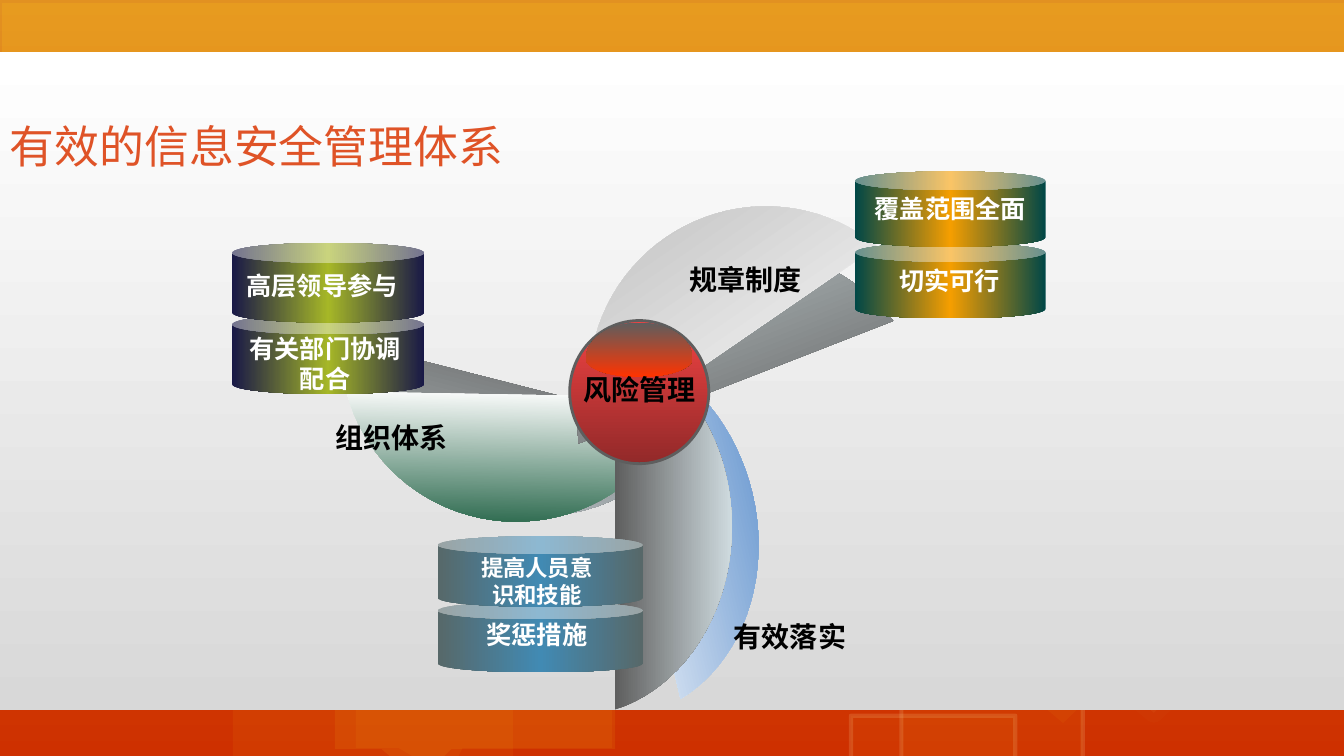
from copy import deepcopy
from dataclasses import dataclass
from math import asin, cos, pi, sin

from lxml.etree import SubElement
from pptx import Presentation
from pptx.dml.color import RGBColor
from pptx.enum.shapes import MSO_SHAPE
from pptx.enum.text import MSO_ANCHOR, PP_ALIGN
from pptx.oxml.ns import qn
from pptx.util import Inches, Pt

COLORS = {
    "band_top": "E29121", "band_bottom": "CE3000", "amber": "FDC51B",
    "cream": "FEEAAC", "yellow": "FFE181", "white": "FFFFFF",
    "panel": "D8D8D8", "title": "DF5327", "black": "000000",
    "gray": "5E5E5E", "mist": "CFDBDF", "silver": "B2B2B2",
    "green": "2A684C", "blue": "447EC4", "red": "F14343",
    "dark_red": "922929", "scarlet": "FF3300", "teal": "004747",
    "orange": "F59E00", "navy": "181847", "lime": "A6B727",
    "slate": "576869", "sky": "418AB3",
}
LEFT, CENTER, RIGHT = PP_ALIGN.LEFT, PP_ALIGN.CENTER, PP_ALIGN.RIGHT
Box = tuple[float, float, float, float]


@dataclass
class Callout:
    box: Box
    alpha: int
    tip: tuple[float, float] = (-0.2, 0.65)
    color: str = "amber"
    line: str = ""
    line_alpha: int = 14
    line_width: float = 3


@dataclass
class Blade:
    box: Box
    rotation: float
    start: str
    end: str


@dataclass
class Label:
    text: str
    box: Box
    size: int = 18
    color: str = "white"
    align: PP_ALIGN = CENTER
    bold: bool = True
    font: str = "Arial"
    anchor: MSO_ANCHOR = MSO_ANCHOR.TOP


@dataclass
class CanStack:
    left: float
    top: float
    width: float
    height: float
    step: float
    edge: str
    middle: str
    labels: list[Label]


def rgb(name: str) -> RGBColor:
    return RGBColor.from_string(COLORS[name])


def set_gradient(fill, names: list[str], angle: int) -> None:
    """Spread the named colours evenly; angle is clockwise."""
    fill.gradient()
    fill.gradient_angle = -angle % 360
    for i, stop in enumerate(fill.gradient_stops):
        stop.color.rgb = rgb(names[i])
        stop.position = i / (len(names) - 1)


def set_can_gradient(shape, edge: str, middle: str) -> None:
    set_gradient(shape.fill, [edge, middle, edge], 0)
    stops = shape._element.spPr.find(qn("a:gradFill")).find(qn("a:gsLst"))
    stops.append(deepcopy(stops[0]))
    stops[2].set("pos", "100000")


def set_alpha(fill_parent, percent: int) -> None:
    color = fill_parent.find(qn("a:solidFill"))[0]
    SubElement(color, qn("a:alpha"), val=str(percent * 1000))


def add_preset(kind: MSO_SHAPE, box: Box):
    sp = s.shapes.add_shape(kind, *map(Inches, box))
    sp.shadow.inherit = False
    sp.line.fill.background()
    return sp


def add_outline(points: list[tuple[float, float]], names: list[str], angle: int):
    emu = [(Inches(x), Inches(y)) for x, y in points]
    builder = s.shapes.build_freeform(*emu[0])
    builder.add_line_segments(emu[1:])
    sp = builder.convert_to_shape()
    sp.shadow.inherit = False
    sp.line.fill.background()
    set_gradient(sp.fill, names, angle)
    return sp


def add_callout(c: Callout) -> None:
    sp = add_preset(MSO_SHAPE.RECTANGULAR_CALLOUT, c.box)
    sp.adjustments[0], sp.adjustments[1] = c.tip
    sp.fill.solid()
    sp.fill.fore_color.rgb = rgb(c.color)
    set_alpha(sp._element.spPr, c.alpha)
    if c.line:
        sp.line.color.rgb = rgb(c.line)
        sp.line.width = Pt(c.line_width)
        set_alpha(sp._element.spPr.find(qn("a:ln")), c.line_alpha)


def add_blade(b: Blade) -> None:
    """A segment of an ellipse, flat on its left side."""
    x, y, w, h = b.box
    reach = asin(0.965)
    flat = cos(reach)
    angles = [reach * (i / 20 - 1) for i in range(41)]
    points = [(x + w * (cos(t) - flat) / (1 - flat),
               y + h * (1 + sin(t) / sin(reach)) / 2) for t in angles]
    add_outline(points, [b.start, b.end], 0).rotation = b.rotation


def add_label(label: Label) -> None:
    tf = s.shapes.add_textbox(*map(Inches, label.box)).text_frame
    tf.word_wrap = True
    tf.vertical_anchor = label.anchor
    p = tf.paragraphs[0]
    p.text, p.alignment = label.text, label.align
    font = p.font
    font.name, font.size, font.bold = label.font, Pt(label.size), label.bold
    font.color.rgb = rgb(label.color)
    SubElement(p._p.pPr.find(qn("a:defRPr")), qn("a:ea"), typeface=label.font)


def add_stack(stack: CanStack) -> None:
    """Lower can first, so that the upper one overlaps it."""
    for i in (1, 0):
        box = (stack.left, stack.top + i * stack.step, stack.width, stack.height)
        can = add_preset(MSO_SHAPE.CAN, box)
        set_can_gradient(can, stack.edge, stack.middle)
        add_label(stack.labels[i])


CALLOUTS = [
    Callout((3.53, 5.33, 2.54, 2.09), 7, (-0.14, 0.64)),
    Callout((3.32, 5.34, 2.78, 2.09), 10),
    Callout((0.02, 0.03, 13.39, 2.09), 20, (-0.2, 0.45)),
    Callout((9.71, 4.77, 2.78, 2.09), 5),
    Callout((8.44, 7.1, 1.63, 0.49), 5, line="cream"),
    Callout((8.94, 7.01, 1.8, 0.57), 5, line="cream"),
    Callout((11.12, 6.14, 1.08, 0.81), 5, color="yellow",
            line="yellow", line_alpha=1, line_width=14),
    Callout((2.31, 5.97, 2.78, 1.61), 7),
]
BLADES = [
    Blade((4.44, 2.78, 1.26, 3.35), 104.3, "gray", "mist"),
    Blade((4.47, 2.87, 1.26, 3.35), 91, "white", "green"),
    Blade((6.32, 3.22, 1.16, 3.63), 346.8, "white", "blue"),
    Blade((6.1, 3.41, 1.16, 3.63), 0, "gray", "mist"),
    Blade((6.44, 1.53, 1.26, 3.35), 248.7, "gray", "mist"),
    Blade((6.33, 1.2, 1.26, 3.35), 235.5, "white", "silver"),
]
TITLE = Label("有效的信息安全管理体系", (0, 0.74, 7.85, 1.02), 32, "title", LEFT,
              False, "Noto Sans CJK SC", MSO_ANCHOR.BOTTOM)
CAPTIONS = [
    Label("风险管理", (5.65, 3.65, 1.38, 0.43), 20, "black"),
    Label("组织体系", (3.18, 4.12, 1.36, 0.43), 20, "black", RIGHT),
    Label("规章制度", (6.74, 2.56, 1.45, 0.43), 20, "black", LEFT),
    Label("有效落实", (7.14, 6.1, 1.35, 0.43), 20, "black", RIGHT),
]
STACKS = [
    CanStack(8.48, 1.7, 1.89, 0.75, 0.71, "teal", "orange", [
        Label("覆盖范围全面", (8.56, 1.87, 1.73, 0.4)),
        Label("切实可行", (8.81, 2.58, 1.22, 0.4))]),
    CanStack(2.3, 2.41, 1.91, 0.79, 0.71, "navy", "lime", [
        Label("高层领导参与", (2.33, 2.63, 1.73, 0.4)),
        Label("有关部门协调配合", (2.3, 3.26, 1.85, 0.71))]),
    CanStack(4.34, 5.32, 2.04, 0.7, 0.65, "slate", "sky", [
        Label("提高人员意识和技能", (4.58, 5.45, 1.49, 0.63), 16),
        Label("奖惩措施", (4.58, 6.09, 1.49, 0.4))]),
]

prs = Presentation()
prs.slide_width, prs.slide_height = Inches(13.33), Inches(7.5)
s = prs.slides.add_slide(prs.slide_layouts[6])

# Background bands and panel
set_gradient(s.background.fill, ["band_top", "band_bottom"], 90)
for callout in CALLOUTS:
    add_callout(callout)
panel = add_preset(MSO_SHAPE.RECTANGLE, (0, 0.52, 13.33, 6.52))
set_gradient(panel.fill, ["white", "panel"], 90)
add_label(TITLE)

# Propeller blades
for blade in BLADES:
    add_blade(blade)

# Hub with its highlight: a tall upper and a flat lower half
hub = add_preset(MSO_SHAPE.OVAL, (5.65, 3.18, 1.38, 1.42))
set_gradient(hub.fill, ["red", "dark_red"], 90)
hub.line.color.rgb = rgb("gray")
hub.line.width = Pt(2)
turns = [2 * pi * i / 48 for i in range(48)]
add_outline([(6.34 + 0.53 * cos(t), 3.56 + (0.18 if t < pi else 0.36) * sin(t))
             for t in turns], ["gray", "scarlet"], 90)

# Captions and cans
for caption in CAPTIONS:
    add_label(caption)
for can_stack in STACKS:
    add_stack(can_stack)

prs.save("out.pptx")
